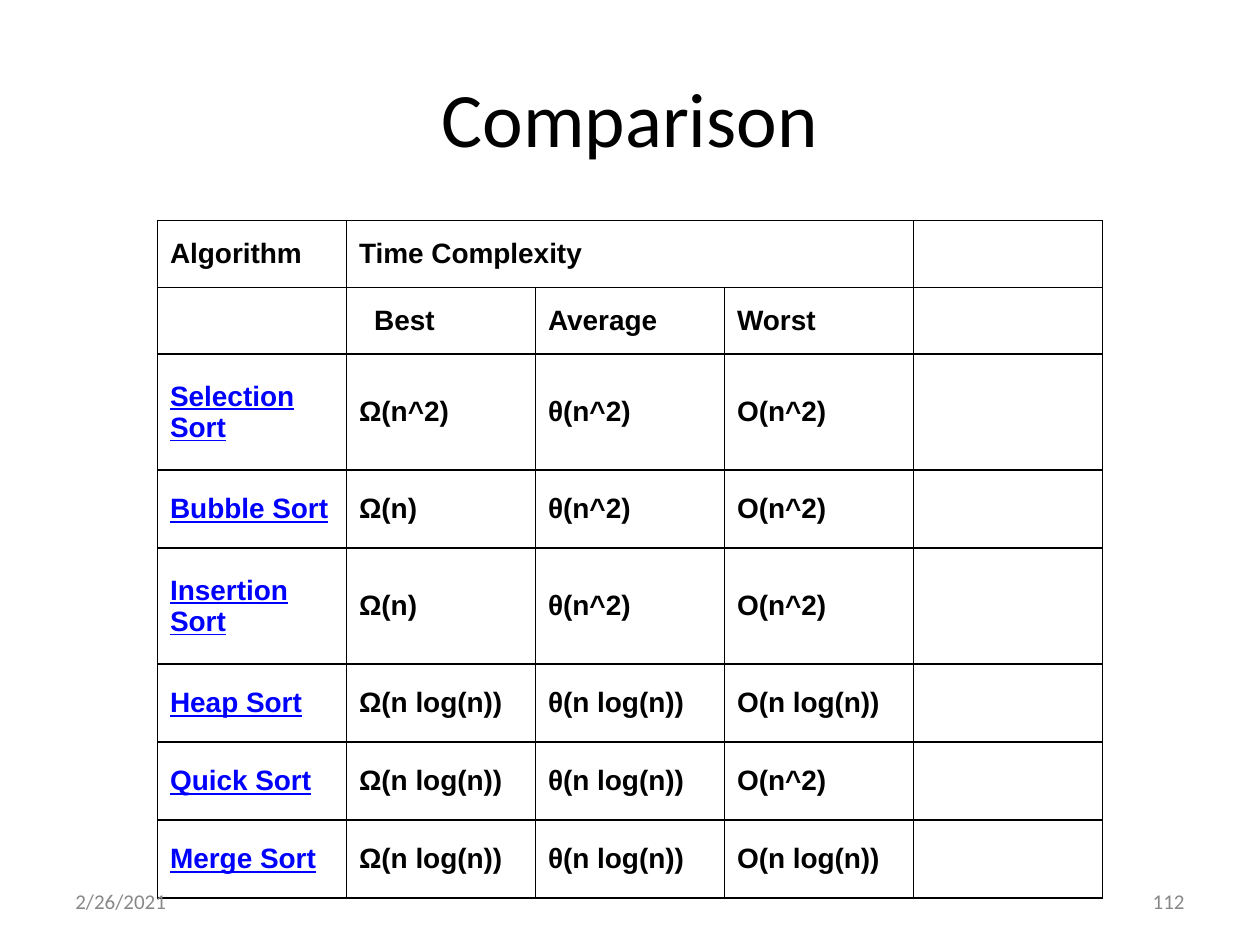
"""Build a slide comparing the time complexity of sorting algorithms."""
from lxml import etree
from pptx import Presentation
from pptx import util as u
from pptx.dml.color import RGBColor
from pptx.enum import text
from pptx.oxml.ns import qn

TITLE = "Comparison"
HEADERS = [
    ["Algorithm", "Time Complexity", "", "", ""],
    ["", "Best", "Average", "Worst", ""],
]
SORTS = [
    ["Selection Sort", "Ω(n^2)", "θ(n^2)", "O(n^2)", ""],
    ["Bubble Sort", "Ω(n)", "θ(n^2)", "O(n^2)", ""],
    ["Insertion Sort", "Ω(n)", "θ(n^2)", "O(n^2)", ""],
    ["Heap Sort", "Ω(n log(n))", "θ(n log(n))", "O(n log(n))", ""],
    ["Quick Sort", "Ω(n log(n))", "θ(n log(n))", "O(n^2)", ""],
    ["Merge Sort", "Ω(n log(n))", "θ(n log(n))", "O(n log(n))", ""],
]
ROW_HEIGHTS = [0.53, 0.53, 0.92, 0.62, 0.92, 0.62, 0.62, 0.62]
COL_WIDTH = 1.5
FOOTERS = [
    ("2/26/2021", 0.5, text.PP_ALIGN.LEFT),
    ("112", 7.17, text.PP_ALIGN.RIGHT),
]
COLORS = {"ink": "000000", "link": "0000FF", "footer": "888888", "paper": "FFFFFF"}


def add_run(p, words, font, size, color, bold=False, underline=False):
    r = p.add_run()
    r.text = words
    r.font.name, r.font.size = font, u.Pt(size)
    r.font.bold, r.font.underline = bold, underline
    r.font.color.rgb = RGBColor.from_string(COLORS[color])


def style_cell(cell):
    tc_pr = cell._tc.get_or_add_tcPr()
    for side in ("a:lnL", "a:lnR", "a:lnT", "a:lnB"):
        ln = etree.SubElement(tc_pr, qn(side), w=str(u.Pt(1)))
        fill = etree.SubElement(ln, qn("a:solidFill"))
        etree.SubElement(fill, qn("a:srgbClr"), val=COLORS["ink"])
    cell.fill.solid()
    cell.fill.fore_color.rgb = RGBColor.from_string(COLORS["paper"])


def add_title(s):
    sp = s.shapes.title
    sp.left, sp.top = u.Inches(0.5), u.Inches(0.3)
    sp.width, sp.height = u.Inches(9), u.Inches(1.25)
    tf = sp.text_frame
    tf.vertical_anchor = text.MSO_ANCHOR.MIDDLE
    p = tf.paragraphs[0]
    p.alignment = text.PP_ALIGN.CENTER
    add_run(p, TITLE, "Calibri", 44, "ink")


def add_complexity_table(s):
    rows = HEADERS + SORTS
    cols = len(rows[0])
    table = s.shapes.add_table(
        len(rows), cols, u.Inches(1.25), u.Inches(1.75),
        u.Inches(COL_WIDTH * cols), u.Inches(sum(ROW_HEIGHTS))).table
    table.first_row = table.horz_banding = False
    for col in table.columns:
        col.width = u.Inches(COL_WIDTH)
    for i, (row, height) in enumerate(zip(rows, ROW_HEIGHTS)):
        table.rows[i].height = u.Inches(height)
        is_sort = i >= len(HEADERS)
        for j, words in enumerate(row):
            cell = table.cell(i, j)
            style_cell(cell)
            if not words:
                continue
            cell.vertical_anchor = text.MSO_ANCHOR.MIDDLE
            cell.margin_left = cell.margin_right = u.Inches(0.1)
            cell.margin_top = cell.margin_bottom = u.Inches(0.15 if is_sort else 0.1)
            is_link = is_sort and j == 0
            p = cell.text_frame.paragraphs[0]
            if words == "Best":
                p._p.get_or_add_pPr().set("marL", str(u.Inches(0.12)))
            add_run(p, words, "Arial", 16, "link" if is_link else "ink", True, is_link)
    table.cell(0, 1).merge(table.cell(0, 3))


def add_footers(s):
    for words, left, align in FOOTERS:
        tf = s.shapes.add_textbox(
            u.Inches(left), u.Inches(6.95), u.Inches(2.33), u.Inches(0.4)).text_frame
        tf.word_wrap = True
        tf.vertical_anchor = text.MSO_ANCHOR.MIDDLE
        p = tf.paragraphs[0]
        p.alignment = align
        add_run(p, words, "Calibri", 12, "footer")


def main():
    prs = Presentation()
    prs.slide_width, prs.slide_height = u.Inches(10), u.Inches(7.5)
    s = prs.slides.add_slide(prs.slide_layouts[5])
    add_title(s)
    add_complexity_table(s)
    add_footers(s)
    prs.save("out.pptx")


if __name__ == "__main__":
    main()
